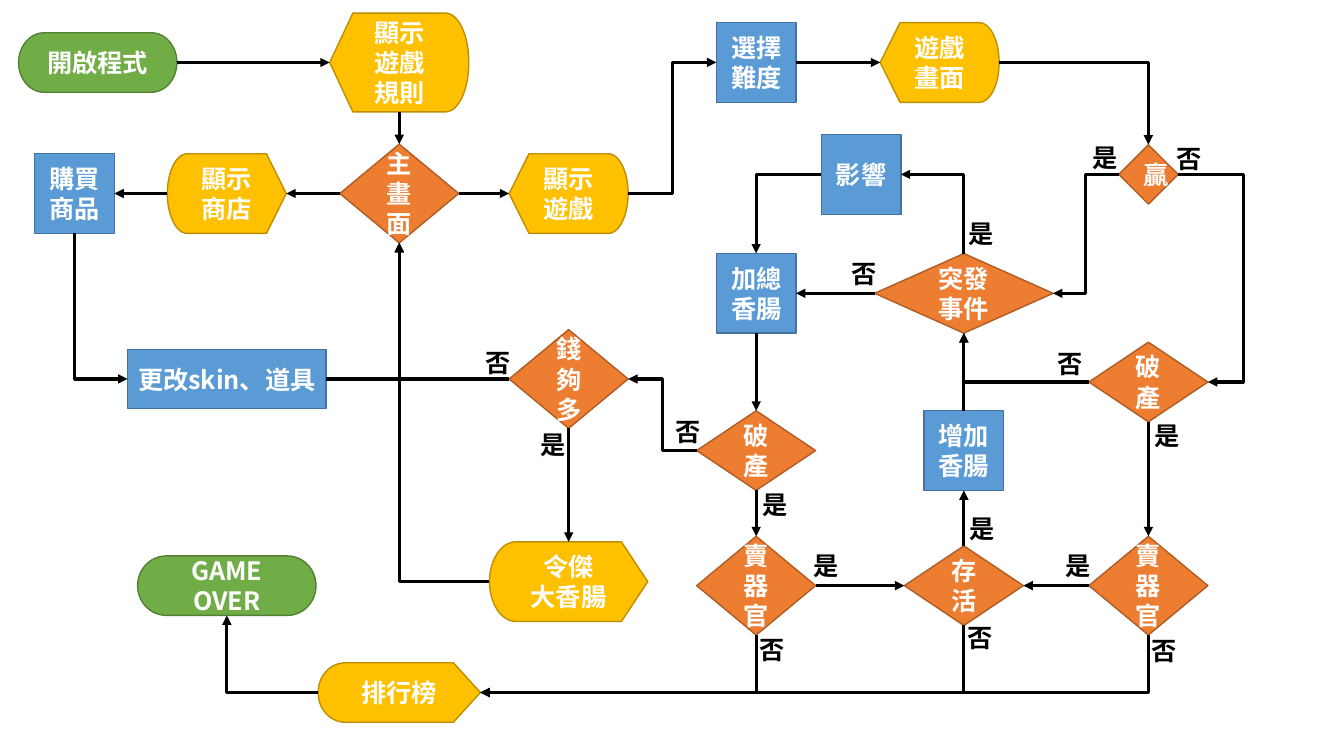
from dataclasses import dataclass
from typing import NamedTuple

from lxml import etree
from pptx import Presentation
from pptx.dml.color import RGBColor
from pptx.enum.shapes import MSO_CONNECTOR, MSO_SHAPE
from pptx.enum.text import MSO_ANCHOR, PP_ALIGN
from pptx.oxml.ns import qn
from pptx.util import Inches, Pt

TERMINATOR = MSO_SHAPE.FLOWCHART_TERMINATOR
DISPLAY = MSO_SHAPE.FLOWCHART_DISPLAY
DECISION = MSO_SHAPE.FLOWCHART_DECISION
PROCESS = MSO_SHAPE.FLOWCHART_PROCESS
STRAIGHT, ELBOW = MSO_CONNECTOR.STRAIGHT, MSO_CONNECTOR.ELBOW
MIDDLE, CENTER = MSO_ANCHOR.MIDDLE, PP_ALIGN.CENTER


@dataclass(frozen=True)
class Theme:
    """Colours, font and sizes of the flowchart."""
    font: str = "Noto Sans CJK SC"
    size: float = 18
    outline: float = 1
    arrow: float = 2.25
    light: str = "FFFFFF"
    dark: str = "000000"


class Box(NamedTuple):
    """A region of the slide in inches."""
    left: float
    top: float
    width: float
    height: float


class Step(NamedTuple):
    """A flowchart step, placed by its centre within a region."""
    text: str
    kind: int
    x: float
    y: float
    width: float = 1.18
    height: float = 0.79
    mirrored: bool = False


THEME = Theme()
PALETTE = {
    TERMINATOR: ("70AD47", "538035"),
    DISPLAY: ("FFC000", "BD8E00"),
    DECISION: ("ED7D31", "AF5C24"),
    PROCESS: ("5B9BD5", "43739E"),
}
PORTS = {"top": (0, 0, -0.5), "left": (1, -0.5, 0), "bottom": (2, 0, 0.5), "right": (3, 0.5, 0)}
SIDEWAYS = {"left", "right"}
ANSWER_SIZE = (0.45, 0.4)

MENU_BOX = Box(0, 0, 6.5, 7.5)
MENU_STEPS = {
    "launch": Step("開啟程式", TERMINATOR, 0.97, 0.62, 1.57, 0.59),
    "rules": Step("顯示遊戲規則", DISPLAY, 3.96, 0.62, 1.38, 0.98),
    "main": Step("主畫面", DECISION, 3.96, 1.92, height=0.98),
    "shop": Step("顯示商店", DISPLAY, 2.25, 1.92, mirrored=True),
    "purchase": Step("購買商品", PROCESS, 0.74, 1.92, 0.79),
    "equip": Step("更改skin、道具", PROCESS, 2.25, 3.76, 1.97, 0.59),
    "game": Step("顯示遊戲", DISPLAY, 5.64, 1.92),
    "rich": Step("錢夠多", DECISION, 5.64, 3.76, height=0.98),
    "victory": Step("令傑\n大香腸", DISPLAY, 5.64, 5.77, 1.57, mirrored=True),
    "game_over": Step("GAME OVER", TERMINATOR, 2.25, 5.81, 1.77, 0.59),
    "ranking": Step("排行榜", DISPLAY, 3.96, 6.87, 1.61, 0.59, True),
}
MENU_ANSWERS = {"是": [(5.26, 4.21)], "否": [(4.72, 3.4)]}

ROUND_BOX = Box(6.5, 0, 6.83, 7.5)
ROUND_STEPS = {
    "difficulty": Step("選擇難度", PROCESS, 1, 0.62, 0.79),
    "play": Step("遊戲畫面", DISPLAY, 2.82, 0.62),
    "win": Step("贏", DECISION, 4.89, 1.73, 0.59, 0.59),
    "effect": Step("影響", PROCESS, 2.04, 1.73, 0.79),
    "total": Step("加總香腸", PROCESS, 1, 2.91, 0.79),
    "event": Step("突發事件", DECISION, 3.06, 2.91, 1.77),
    "lost_broke": Step("破產", DECISION, 4.89, 3.79),
    "total_broke": Step("破產", DECISION, 1, 4.47),
    "gain": Step("增加香腸", PROCESS, 3.06, 4.47, 0.79),
    "total_sell": Step("賣器官", DECISION, 1, 5.81, height=0.98),
    "survive": Step("存活", DECISION, 3.06, 5.81),
    "lost_sell": Step("賣器官", DECISION, 4.89, 5.81, height=0.98),
}
ROUND_ANSWERS = {
    "是": [(4.24, 1.36), (4.85, 4.12), (3.97, 5.41), (3.02, 5.04),
          (0.96, 4.81), (1.47, 5.41), (3.01, 2.12)],
    "否": [(5.07, 1.37), (3.89, 3.41), (4.82, 6.25), (3, 6.12),
          (0.93, 6.24), (0.1, 4.08), (1.85, 2.51)],
}

LINKS = [
    ("launch", "right", "rules", "left"),
    ("rules", "bottom", "main", "top"),
    ("main", "left", "shop", "right"),
    ("main", "right", "game", "left"),
    ("shop", "left", "purchase", "right"),
    ("purchase", "bottom", "equip", "left"),
    ("equip", "right", "main", "bottom"),
    ("rich", "left", "main", "bottom"),
    ("rich", "bottom", "victory", "top"),
    ("victory", "left", "main", "bottom"),
    ("game", "right", "difficulty", "left"),
    ("difficulty", "right", "play", "left"),
    ("play", "right", "win", "top"),
    ("win", "left", "event", "right"),
    ("win", "right", "lost_broke", "right", 12.33),
    ("event", "top", "effect", "right"),
    ("event", "left", "total", "right"),
    ("effect", "left", "total", "top"),
    ("total", "bottom", "total_broke", "top"),
    ("total_broke", "left", "rich", "right"),
    ("total_broke", "bottom", "total_sell", "top"),
    ("total_sell", "right", "survive", "left"),
    ("lost_broke", "left", "event", "bottom"),
    ("lost_broke", "bottom", "lost_sell", "top"),
    ("lost_sell", "left", "survive", "right"),
    ("survive", "top", "gain", "bottom"),
    ("gain", "top", "event", "bottom"),
    ("total_sell", "bottom", "ranking", "right"),
    ("survive", "bottom", "ranking", "right"),
    ("lost_sell", "bottom", "ranking", "right"),
    ("ranking", "left", "game_over", "bottom"),
]


def write(frame, text, color, align=None):
    """Fill a text frame with bold text."""
    frame.text = text
    for paragraph in frame.paragraphs:
        paragraph.alignment = align
        for run in paragraph.runs:
            run.font.name, run.font.size, run.font.bold = THEME.font, Pt(THEME.size), True
            run.font.color.rgb = RGBColor.from_string(color)
            etree.SubElement(run.font._element, qn("a:ea"), typeface=THEME.font)


def draw_step(slide, box, step):
    """Draw one step and return its shape."""
    left = box.left + step.x - step.width / 2
    top = box.top + step.y - step.height / 2
    shape = slide.shapes.add_shape(
        step.kind, Inches(left), Inches(top), Inches(step.width), Inches(step.height))
    fill, outline = PALETTE[step.kind]
    shape.shadow.inherit = False
    shape.fill.solid()
    shape.fill.fore_color.rgb = RGBColor.from_string(fill)
    shape.line.color.rgb = RGBColor.from_string(outline)
    shape.line.width = Pt(THEME.outline)
    if step.mirrored:
        shape._element.spPr.find(qn("a:xfrm")).set("flipH", "1")
    shape.text_frame.word_wrap = True
    shape.text_frame.vertical_anchor = MIDDLE
    write(shape.text_frame, step.text, THEME.light, CENTER)
    return shape


def draw_region(slide, box, steps, answers):
    """Draw the steps and answers of a region and return the shapes by name."""
    shapes = {name: draw_step(slide, box, step) for name, step in steps.items()}
    for answer, places in answers.items():
        for x, y in places:
            label = slide.shapes.add_textbox(
                Inches(box.left + x), Inches(box.top + y), *map(Inches, ANSWER_SIZE))
            label.text_frame.word_wrap = False
            write(label.text_frame, answer, THEME.dark)
    return shapes


def port(shape, side):
    """Return the connection site and the point on a side of a step."""
    site, across, down = PORTS[side]
    mirrored = shape._element.spPr.find(qn("a:xfrm")).get("flipH") == "1"
    if mirrored and side in SIDEWAYS:
        site = 4 - site
    x = shape.left + shape.width * (0.5 + across)
    y = shape.top + shape.height * (0.5 + down)
    return site, round(x), round(y)


def draw_link(slide, shapes, start, start_side, end, end_side, lane=None):
    """Join two steps by a straight, one-bend or two-bend arrow."""
    start_site, x1, y1 = port(shapes[start], start_side)
    end_site, x2, y2 = port(shapes[end], end_side)
    one_bend = (start_side in SIDEWAYS) != (end_side in SIDEWAYS)
    two_bends = not one_bend and start_side in SIDEWAYS and abs(y2 - y1) > Inches(0.1)
    link = slide.shapes.add_connector(ELBOW if one_bend or two_bends else STRAIGHT, x1, y1, x2, y2)
    link.begin_connect(shapes[start], start_site)
    link.end_connect(shapes[end], end_site)
    properties = link._element.spPr
    geometry = properties.find(qn("a:prstGeom"))
    if one_bend:
        geometry.set("prst", "bentConnector2")
    if lane:
        bend = round((Inches(lane) - x1) / (x2 - x1) * 100000)
        etree.SubElement(geometry.find(qn("a:avLst")), qn("a:gd"), name="adj1", fmla=f"val {bend}")
    if one_bend and start_side not in SIDEWAYS:
        middle_x, middle_y = (x1 + x2) // 2, (y1 + y2) // 2
        half_x, half_y = (x2 - x1) // 2, (y2 - y1) // 2
        x1, y1 = middle_x - half_y, middle_y + half_x
        x2, y2 = middle_x + half_y, middle_y - half_x
        properties.find(qn("a:xfrm")).set("rot", "5400000")
    link.begin_x, link.begin_y, link.end_x, link.end_y = x1, y1, x2, y2
    link.line.color.rgb = RGBColor.from_string(THEME.dark)
    link.line.width = Pt(THEME.arrow)
    etree.SubElement(properties.find(qn("a:ln")), qn("a:tailEnd"), type="triangle")
    etree.SubElement(properties, qn("a:effectLst"))


def build():
    """Build the game flowchart and save it."""
    deck = Presentation()
    deck.slide_width, deck.slide_height = Inches(13.33), Inches(7.5)
    slide = deck.slides.add_slide(deck.slide_layouts[6])
    shapes = draw_region(slide, MENU_BOX, MENU_STEPS, MENU_ANSWERS)
    shapes |= draw_region(slide, ROUND_BOX, ROUND_STEPS, ROUND_ANSWERS)
    for link in LINKS:
        draw_link(slide, shapes, *link)
    deck.save("out.pptx")


build()
